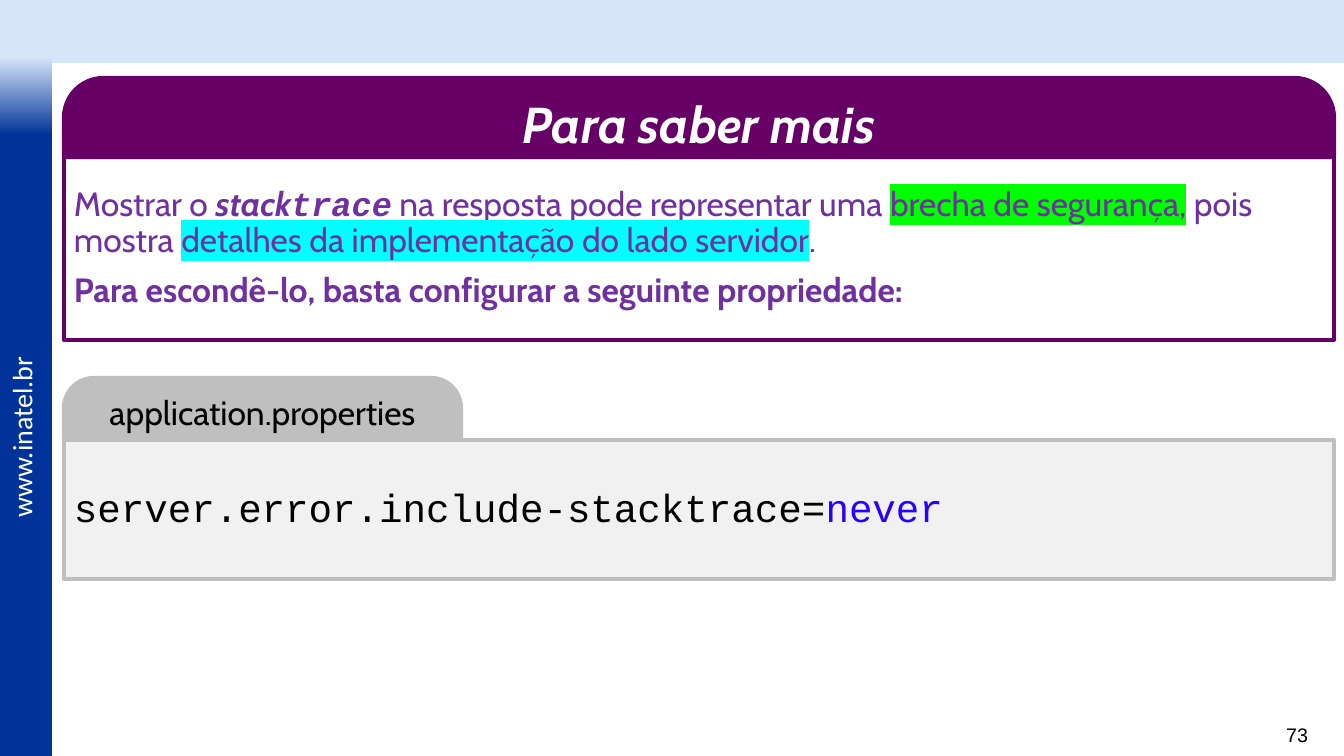
from lxml.etree import SubElement
from pptx import Presentation
from pptx.dml.color import RGBColor
from pptx.enum.shapes import MSO_SHAPE as Shape
from pptx.enum.text import MSO_ANCHOR as Anchor, PP_ALIGN as Align
from pptx.oxml.ns import qn
from pptx.util import Emu, Pt

PURPLE = "660066"
VIOLET = "7030A0"
GREY = "BFBFBF"
SKY = "D7E5F9"
NAVY = "003399"
WHITE = "FFFFFF"
BLACK = "000000"


def px(length):
    return Emu(round(length * 12192000 / 1344))


def rgb(value):
    return RGBColor.from_string(value)


class Painter:
    body_font = "Cabin"
    code_font = "Courier New"
    border = Pt(3)

    def __init__(self, page):
        self.page = page

    def panel(self, left, top, width, height, fill, line=None, kind=Shape.RECTANGLE):
        shape = self.page.shapes.add_shape(kind, px(left), px(top), px(width), px(height))
        shape.shadow.inherit = False
        shape.fill.solid()
        shape.fill.fore_color.rgb = rgb(fill)
        if line:
            shape.line.color.rgb = rgb(line)
            shape.line.width = self.border
        else:
            shape.line.fill.background()
        shape.text_frame.word_wrap = True
        shape.text_frame.vertical_anchor = Anchor.MIDDLE
        return shape

    def fade(self, left, top, width, height, start, end):
        shape = self.panel(left, top, width, height, start)
        shape.fill.gradient()
        shape.fill.gradient_angle = 270
        for stop, color in zip(shape.fill.gradient_stops, (start, end)):
            stop.color.rgb = rgb(color)

    def tab(self, left, top, width, height, fill):
        shape = self.panel(left, top, width, height, fill, fill, Shape.ROUND_2_SAME_RECTANGLE)
        shape.adjustments[0] = 0.5
        shape.adjustments[1] = 0
        return shape

    def label(self, left, top, width, height, text, size, font, color, align=Align.LEFT):
        box = self.page.shapes.add_textbox(px(left), px(top), px(width), px(height))
        box.text_frame.word_wrap = True
        self.set_text(box, [[(text, {"font": font})]], size, color, align)
        return box

    def set_text(self, shape, paragraphs, size, color, align=Align.LEFT, spacing=1.0):
        frame = shape.text_frame
        for index, spans in enumerate(paragraphs):
            para = frame.add_paragraph() if index else frame.paragraphs[0]
            para.alignment = align
            para.line_spacing = spacing
            if index:
                para.space_before = Pt(10)
            for text, style in spans:
                self.span(para, text, size, **{"color": color, **style})

    def span(self, para, text, size, color, font=None, bold=False, italic=False, highlight=None):
        span = para.add_run()
        span.text = text
        span.font.size = Pt(size)
        span.font.bold = bold
        span.font.italic = italic
        span.font.color.rgb = rgb(color)
        if highlight:
            mark = SubElement(span._r.get_or_add_rPr(), qn("a:highlight"))
            SubElement(mark, qn("a:srgbClr")).set("val", highlight)
        span.font.name = font or self.body_font


def main():
    deck = Presentation()
    deck.slide_width, deck.slide_height = px(1344), px(756)
    painter = Painter(deck.slides.add_slide(deck.slide_layouts[6]))
    code = painter.code_font

    painter.panel(0, 0, 1344, 63, SKY)
    painter.panel(0, 117, 52, 639, NAVY)
    painter.fade(0, 57, 52, 78, SKY, NAVY)
    address = painter.label(-73, 412, 188, 43, "www.inatel.br", 20, "Calibri", WHITE)
    address.rotation = 270
    painter.label(1252, 718, 66, 34, "73", 14, "Arial", BLACK, Align.RIGHT)

    note = painter.panel(64, 157, 1270, 183, WHITE, PURPLE)
    strong = {"bold": True, "italic": True}
    painter.set_text(note, [
        [
            ("Mostrar o ", {}),
            ("stack", strong),
            ("trace", {**strong, "font": code}),
            (" na resposta pode representar uma ", {}),
            ("brecha de segurança,", {"highlight": "00FF00"}),
            (" pois mostra ", {}),
            ("detalhes da implementação do lado servidor", {"highlight": "00FFFF"}),
            (".", {}),
        ],
        [("Para escondê-lo, basta configurar a seguinte propriedade:", {"bold": True})],
    ], 24, VIOLET, spacing=0.9)

    title = painter.tab(64, 78, 1270, 79, PURPLE)
    painter.set_text(title, [[("Para saber mais", strong)]], 36, WHITE, Align.CENTER)

    listing = painter.panel(64, 440, 1270, 139, "F1F1F1", GREY)
    painter.set_text(listing, [[
        ("server.error.include-stacktrace=", {"font": code}),
        ("never", {"font": code, "color": "2A00FF"}),
    ]], 28, BLACK, spacing=0.9)

    file_tab = painter.tab(64, 378, 397, 60, GREY)
    painter.set_text(file_tab, [[("application.properties", {})]], 24, BLACK, Align.CENTER)

    deck.save("out.pptx")


if __name__ == "__main__":
    main()
